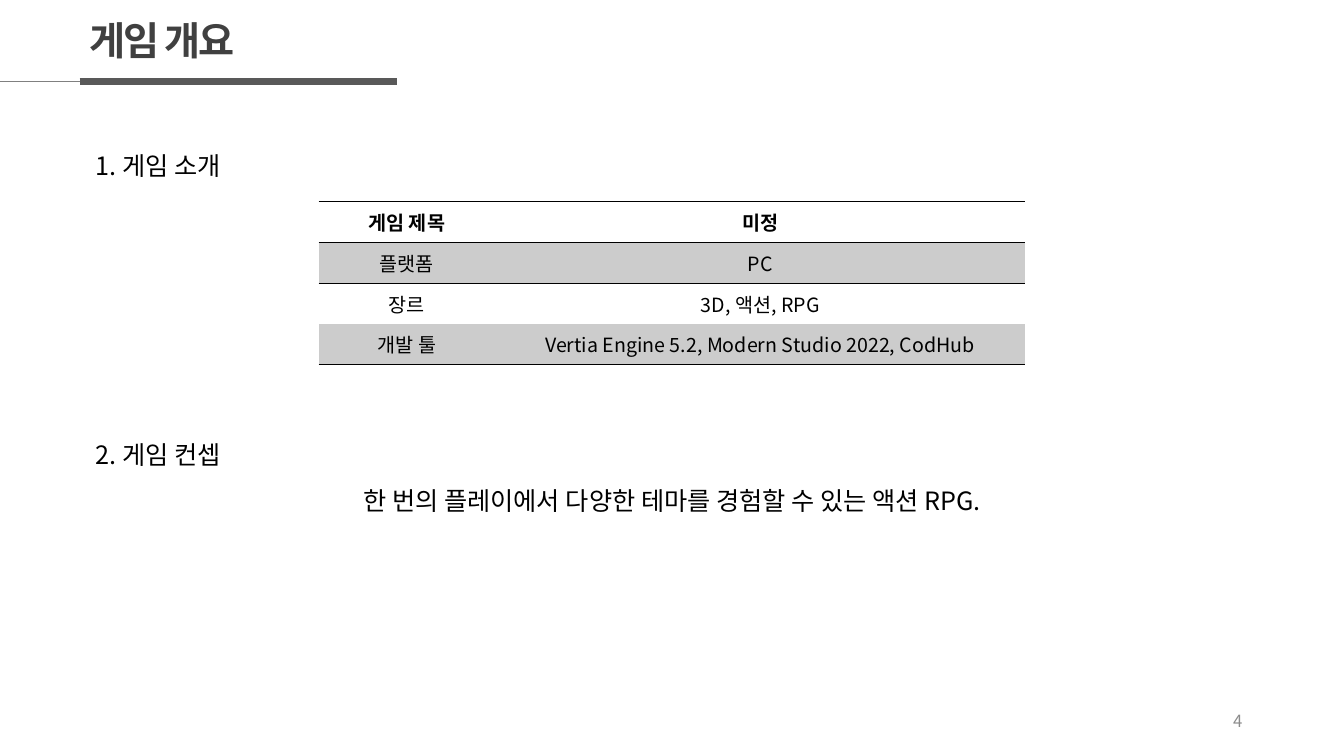
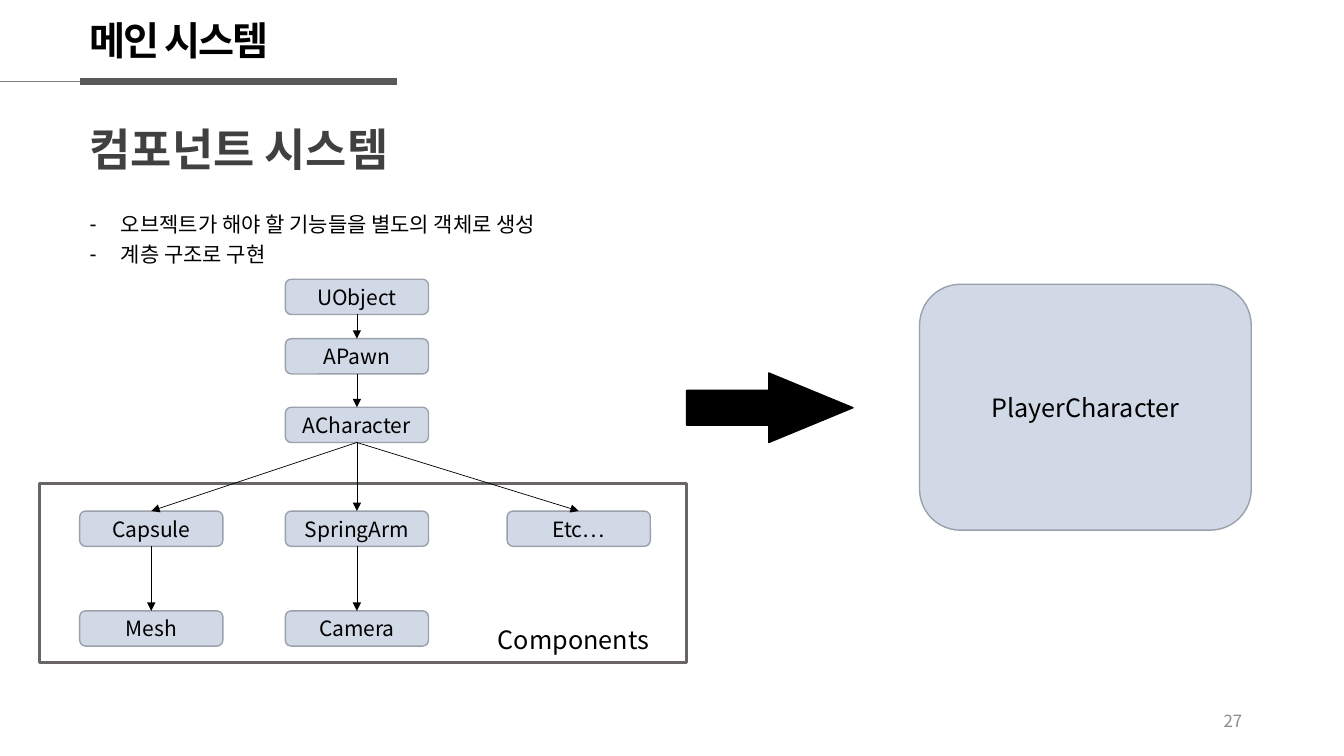
from dataclasses import dataclass
from lxml.etree import SubElement
from pptx import Presentation
from pptx.dml.color import RGBColor
from pptx.enum.shapes import MSO_CONNECTOR, MSO_SHAPE
from pptx.enum.text import MSO_ANCHOR, PP_ALIGN
from pptx.oxml.ns import qn
from pptx.util import Pt

PX = 9144  # 100 px to the inch


@dataclass(frozen=True)
class Theme:
    latin: str = "Arial"
    korean: str = "Noto Sans CJK KR"
    black: str = "000000"
    heading: str = "404040"
    thin_rule: str = "808080"
    thick_rule: str = "595959"
    page_number: str = "8C8C8C"
    band: str = "CCCCCC"
    node_fill: str = "D1D9E6"
    node_line: str = "9BA1AA"
    frame_line: str = "6A6565"
    subtitle_size: int = 32
    title_size: int = 28
    body_size: int = 18
    node_size: int = 15
    table_size: int = 14
    number_size: int = 12


theme = Theme()


def write(text_frame, lines, size, color=theme.black, font=theme.korean, bold=False,
          align=PP_ALIGN.LEFT, anchor=MSO_ANCHOR.TOP, spacing=0, bullet=None):
    text_frame.word_wrap = True
    text_frame.vertical_anchor = anchor
    for index, line in enumerate(lines):
        paragraph = text_frame.add_paragraph() if index else text_frame.paragraphs[0]
        paragraph.text = line
        paragraph.alignment = align
        properties = paragraph._p.get_or_add_pPr()
        if bullet:
            paragraph.line_spacing = 1.2
            properties.set("marL", str(31 * PX))
            properties.set("indent", str(-31 * PX))
            SubElement(properties, qn("a:buFont"), typeface=theme.latin)
            SubElement(properties, qn("a:buChar"), char=bullet)
        paragraph.font.name = font
        paragraph.font.size = Pt(size)
        paragraph.font.bold = bold
        paragraph.font.color.rgb = RGBColor.from_string(color)
        defaults = properties.find(qn("a:defRPr"))
        SubElement(defaults, qn("a:ea"), typeface=theme.korean)
        if spacing:
            defaults.set("spc", str(spacing))


def draw_line(slide, start, end, color, width):
    points = [value * PX for value in (*start, *end)]
    connector = slide.shapes.add_connector(MSO_CONNECTOR.STRAIGHT, *points)
    connector.line.color.rgb = RGBColor.from_string(color)
    connector.line.width = Pt(width)
    SubElement(connector._element.spPr, qn("a:effectLst"))
    return connector


presentation = Presentation()
presentation.slide_width = 1333 * PX
presentation.slide_height = 750 * PX

# Shared header and page number
headers = [
    ("게임 개요", theme.heading, theme.latin, "4"),
    ("메인 시스템", theme.black, theme.korean, "27"),
]
slides = []
for title, color, font, number in headers:
    slide = presentation.slides.add_slide(presentation.slide_layouts[6])
    draw_line(slide, (0, 81), (79, 81), theme.thin_rule, 0.5)
    draw_line(slide, (79, 81), (394, 81), theme.thick_rule, 4.5)
    title_box = slide.shapes.add_textbox(79 * PX, 11 * PX, 315 * PX, 57 * PX)
    write(title_box.text_frame, [title], theme.title_size, color, font, bold=True, spacing=-150)
    number_box = slide.shapes.add_textbox(942 * PX, 695 * PX, 300 * PX, 40 * PX)
    write(number_box.text_frame, [number], theme.number_size, theme.page_number,
          align=PP_ALIGN.RIGHT, anchor=MSO_ANCHOR.MIDDLE)
    slides.append(slide)
overview, system = slides

# Overview: section headings and concept
overview_texts = [
    ("1. 게임 소개", 85, 144, 174, PP_ALIGN.LEFT),
    ("2. 게임 컨셉", 85, 431, 174, PP_ALIGN.LEFT),
    ("한 번의 플레이에서 다양한 테마를 경험할 수 있는 액션 RPG.", 229, 477, 875, PP_ALIGN.CENTER),
]
for text, left, top, width, align in overview_texts:
    text_box = overview.shapes.add_textbox(left * PX, top * PX, width * PX, 40 * PX)
    write(text_box.text_frame, [text], theme.body_size, align=align)

# Overview: game table
game_rows = [
    ("게임 제목", "미정"),
    ("플랫폼", "PC"),
    ("장르", "3D, 액션, RPG"),
    ("개발 툴", "Vertia Engine 5.2, Modern Studio 2022, CodHub"),
]
row_borders = {0: ("a:lnT", "a:lnB"), 1: ("a:lnT",), 3: ("a:lnB",)}
table = overview.shapes.add_table(len(game_rows), 2, 316 * PX, 200 * PX, 701 * PX, 162 * PX).table
table.first_row = False
table.horz_banding = False
# Built-in style without fills or grid
table._tbl.tblPr.find(qn("a:tableStyleId")).text = "{2D5ABB26-0587-4C30-8999-92F81FD0307C}"
for column, width in zip(table.columns, (175, 526)):
    column.width = width * PX
for row_index, values in enumerate(game_rows):
    for column_index, value in enumerate(values):
        cell = table.cell(row_index, column_index)
        write(cell.text_frame, [value], theme.table_size, bold=row_index == 0, align=PP_ALIGN.CENTER)
        cell.vertical_anchor = MSO_ANCHOR.MIDDLE
        for side in row_borders.get(row_index, ()):
            border = SubElement(cell._tc.get_or_add_tcPr(), qn(side), w=str(Pt(1)))
            SubElement(SubElement(border, qn("a:solidFill")), qn("a:srgbClr"), val=theme.black)
        if row_index % 2:
            cell.fill.solid()
            cell.fill.fore_color.rgb = RGBColor.from_string(theme.band)
        else:
            cell.fill.background()

# System: subtitle and bullets
subtitle_box = system.shapes.add_textbox(79 * PX, 116 * PX, 594 * PX, 64 * PX)
write(subtitle_box.text_frame, ["컴포넌트 시스템"], theme.subtitle_size, theme.heading, theme.latin, bold=True)
bullet_box = system.shapes.add_textbox(79 * PX, 200 * PX, 582 * PX, 69 * PX)
write(bullet_box.text_frame, ["오브젝트가 해야 할 기능들을 별도의 객체로 생성", "계층 구조로 구현"],
      theme.node_size, font=theme.latin, bullet="-")

# System: components frame
frame = system.shapes.add_shape(MSO_SHAPE.RECTANGLE, 39 * PX, 480 * PX, 642 * PX, 177 * PX)
frame.shadow.inherit = False
frame.fill.background()
frame.line.color.rgb = RGBColor.from_string(theme.frame_line)
frame.line.width = Pt(2.25)
frame_label = system.shapes.add_textbox(484 * PX, 614 * PX, 180 * PX, 40 * PX)
write(frame_label.text_frame, ["Components"], theme.body_size)

# System: class nodes
class_places = {
    "UObject": (283, 277), "APawn": (283, 336), "ACharacter": (283, 404),
    "Capsule": (79, 507), "SpringArm": (283, 507), "Etc…": (503, 507),
    "Mesh": (79, 606), "Camera": (283, 606),
}
node_specs = [(name, *place, 142, 35, theme.node_size) for name, place in class_places.items()]
node_specs.append(("PlayerCharacter", 912, 282, 329, 244, theme.body_size))
nodes = {}
for name, left, top, width, height, size in node_specs:
    node = system.shapes.add_shape(MSO_SHAPE.ROUNDED_RECTANGLE, left * PX, top * PX, width * PX, height * PX)
    node.shadow.inherit = False
    node.fill.solid()
    node.fill.fore_color.rgb = RGBColor.from_string(theme.node_fill)
    node.line.color.rgb = RGBColor.from_string(theme.node_line)
    node.line.width = Pt(1)
    write(node.text_frame, [name], size, align=PP_ALIGN.CENTER, anchor=MSO_ANCHOR.MIDDLE)
    nodes[name] = node

# System: hierarchy arrows, bottom of parent to top of child
hierarchy = [
    ("UObject", "APawn"), ("APawn", "ACharacter"),
    ("ACharacter", "Capsule"), ("ACharacter", "SpringArm"), ("ACharacter", "Etc…"),
    ("Capsule", "Mesh"), ("SpringArm", "Camera"),
]
for parent, child in hierarchy:
    connector = draw_line(system, (0, 0), (0, 0), theme.black, 0.5)
    connector.begin_connect(nodes[parent], 2)
    connector.end_connect(nodes[child], 0)
    SubElement(connector.line._get_or_add_ln(), qn("a:tailEnd"), type="triangle")

# System: arrow to the finished character
result_arrow = system.shapes.add_shape(MSO_SHAPE.RIGHT_ARROW, 681 * PX, 370 * PX, 165 * PX, 69 * PX)
result_arrow.adjustments[1] = 1.21
result_arrow.shadow.inherit = False
result_arrow.fill.solid()
result_arrow.fill.fore_color.rgb = RGBColor.from_string(theme.black)
result_arrow.line.color.rgb = RGBColor.from_string(theme.black)
result_arrow.line.width = Pt(1)

presentation.save("out.pptx")
